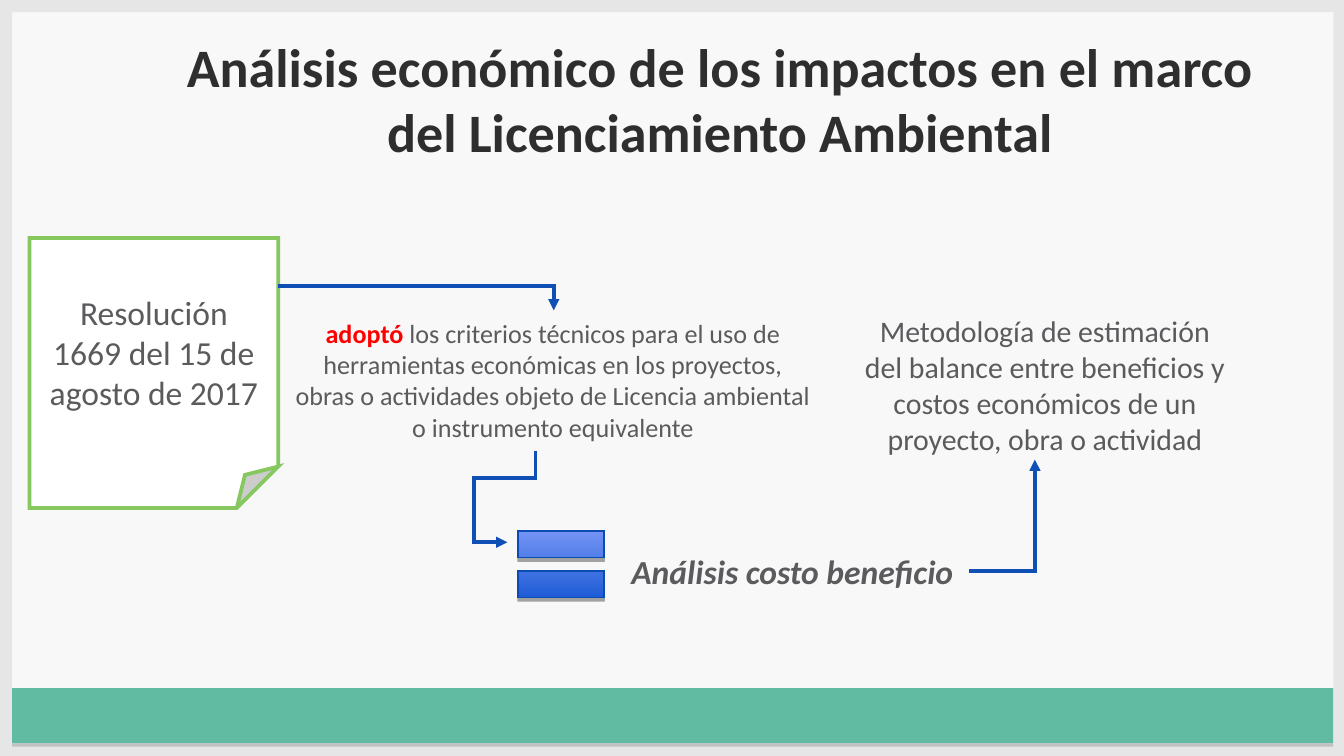
from dataclasses import dataclass, field
from typing import Optional

from lxml.etree import SubElement
from pptx import Presentation
from pptx.dml.color import RGBColor
from pptx.enum.shapes import MSO_CONNECTOR, MSO_SHAPE
from pptx.enum.text import MSO_ANCHOR, PP_ALIGN
from pptx.oxml.ns import qn
from pptx.util import Inches, Pt

INK = "5B5B5E"
FRAME = "E6E6E6"
ARROW = "104FB3"
WIDTH, EDGE = 10, 0.09
HEIGHT = WIDTH * 9 / 16


@dataclass
class Run:
    text: str
    size: float
    color: str = INK
    bold: bool = False
    italic: bool = False


@dataclass
class TextBox:
    box: tuple
    runs: list
    align: PP_ALIGN = PP_ALIGN.CENTER
    wrap: bool = True
    top_inset: float = 0.05
    line_spacing: float = 1.0


@dataclass
class Arrow:
    start: tuple
    end: tuple
    preset: str = "bentConnector2"
    rotation: int = 0
    adjustments: dict = field(default_factory=dict)


FRAME_EDGES = [
    (0, 0, WIDTH, EDGE),
    (0, HEIGHT - EDGE, WIDTH, EDGE),
    (0, 0, EDGE, HEIGHT),
    (9.92, 0, 0.08, HEIGHT),
]

TEXT_BOXES = [
    TextBox(
        (1.15, 0.2, 8.42, 0.88),
        [Run("Análisis económico de los impactos en el marco del Licenciamiento Ambiental",
             29, "2E2E2F", bold=True)],
        top_inset=0.07,
        line_spacing=0.99,
    ),
    TextBox(
        (2.07, 2.31, 4.09, 1.04),
        [Run("adoptó", 14, "FF0000", bold=True),
         Run(" los criterios técnicos para el uso de herramientas económicas en los "
             "proyectos, obras o actividades objeto de Licencia ambiental o instrumento "
             "equivalente", 14)],
    ),
    TextBox(
        (4.6, 4.05, 2.6, 0.4),
        [Run("Análisis costo beneficio", 18, bold=True, italic=True)],
        align=PP_ALIGN.LEFT,
        wrap=False,
    ),
    TextBox(
        (6.33, 2.28, 2.89, 1.17),
        [Run("Metodología de estimación del balance entre beneficios y costos económicos "
             "de un proyecto, obra o actividad", 16)],
    ),
]

ARROWS = [
    Arrow((2.07, 2.13), (4.12, 2.31)),
    Arrow((3.54, 3.59), (4.22, 3.8), "bentConnector4", 90, {"adj1": 30100, "adj2": 219600}),
    Arrow((7.21, 4.25), (7.7, 3.42)),
]


def rgb(color: str) -> RGBColor:
    return RGBColor.from_string(color)


def set_attributes(target, values: dict) -> None:
    for name, value in values.items():
        setattr(target, name, value)


def draw_line(shape, color: str, width: float):
    """Give a shape a solid line with sharp corners and return its element."""
    shape.line.color.rgb = rgb(color)
    shape.line.width = Pt(width)
    line = shape._element.spPr.find(qn("a:ln"))
    SubElement(line, qn("a:miter"), lim="800000")
    return line


def add_shape(slide, preset, box: tuple, fill: Optional[str] = None,
              line: Optional[str] = None, line_width: float = 0.75):
    shape = slide.shapes.add_shape(preset, *map(Inches, box))
    shape.shadow.inherit = False
    if fill:
        shape.fill.solid()
        shape.fill.fore_color.rgb = rgb(fill)
    if line:
        draw_line(shape, line, line_width)
    else:
        shape.line.fill.background()
    return shape


def add_shadow(shape, color: str) -> None:
    effects = shape._element.spPr.find(qn("a:effectLst"))
    shadow = SubElement(effects, qn("a:outerShdw"), blurRad="0", dist=str(Pt(1.8)),
                        dir="5400000", rotWithShape="0")
    tint = SubElement(shadow, qn("a:srgbClr"), val=color)
    SubElement(tint, qn("a:alpha"), val="35000")


def write_runs(paragraph, runs: list, align: PP_ALIGN = PP_ALIGN.CENTER) -> None:
    paragraph.alignment = align
    for item in runs:
        run = paragraph.add_run()
        run.text = item.text
        set_attributes(run.font, {"name": "Calibri", "size": Pt(item.size),
                                  "bold": item.bold, "italic": item.italic})
        run.font.color.rgb = rgb(item.color)


def add_text(slide, item: TextBox) -> None:
    frame = slide.shapes.add_textbox(*map(Inches, item.box)).text_frame
    set_attributes(frame, {"word_wrap": item.wrap, "margin_top": Inches(item.top_inset),
                           "vertical_anchor": MSO_ANCHOR.TOP})
    paragraph = frame.paragraphs[0]
    paragraph.line_spacing = item.line_spacing
    write_runs(paragraph, item.runs, item.align)


def add_arrow(slide, arrow: Arrow) -> None:
    connector = slide.shapes.add_connector(
        MSO_CONNECTOR.ELBOW, *map(Inches, arrow.start + arrow.end))
    line = draw_line(connector, ARROW, 2)
    SubElement(line, qn("a:tailEnd"), type="triangle")
    properties = connector._element.spPr
    SubElement(properties, qn("a:effectLst"))
    if arrow.rotation:
        properties.find(qn("a:xfrm")).set("rot", str(arrow.rotation * 60000))
    geometry = properties.find(qn("a:prstGeom"))
    geometry.set("prst", arrow.preset)
    guides = geometry.find(qn("a:avLst"))
    for name, value in arrow.adjustments.items():
        SubElement(guides, qn("a:gd"), name=name, fmla=f"val {value}")


def add_equal_sign(slide) -> None:
    sign = add_shape(slide, MSO_SHAPE.MATH_EQUAL, (3.74, 3.78, 0.87, 0.84), line="0B4CB3")
    sign.fill.gradient()
    sign.fill.gradient_angle = 270
    for stop, position, color in zip(sign.fill.gradient_stops, (0, 1), ("92A7FF", "0049CB")):
        stop.position = position
        stop.color.rgb = rgb(color)
    add_shadow(sign, "000000")


def add_resolution_note(slide) -> None:
    note = add_shape(slide, MSO_SHAPE.FOLDED_CORNER, (0.22, 1.77, 1.85, 2.01),
                     "FFFFFF", "86C760", 2)
    note.text_frame.word_wrap = True
    note.text_frame.vertical_anchor = MSO_ANCHOR.MIDDLE
    write_runs(note.text_frame.paragraphs[0],
               [Run("Resolución 1669 del 15 de agosto de 2017", 18)])


def main() -> None:
    presentation = Presentation()
    set_attributes(presentation, {"slide_width": Inches(WIDTH), "slide_height": Inches(HEIGHT)})
    slide = presentation.slides.add_slide(presentation.slide_layouts[6])
    slide.background.fill.solid()
    slide.background.fill.fore_color.rgb = rgb("F8F8F8")
    for box in FRAME_EDGES:
        add_shape(slide, MSO_SHAPE.RECTANGLE, box, FRAME)
    footer = add_shape(slide, MSO_SHAPE.RECTANGLE, (EDGE, 5.12, 9.83, 0.41), "61BBA2")
    add_shadow(footer, "808080")
    add_resolution_note(slide)
    add_equal_sign(slide)
    for item in TEXT_BOXES:
        add_text(slide, item)
    for arrow in ARROWS:
        add_arrow(slide, arrow)
    presentation.save("out.pptx")


if __name__ == "__main__":
    main()
